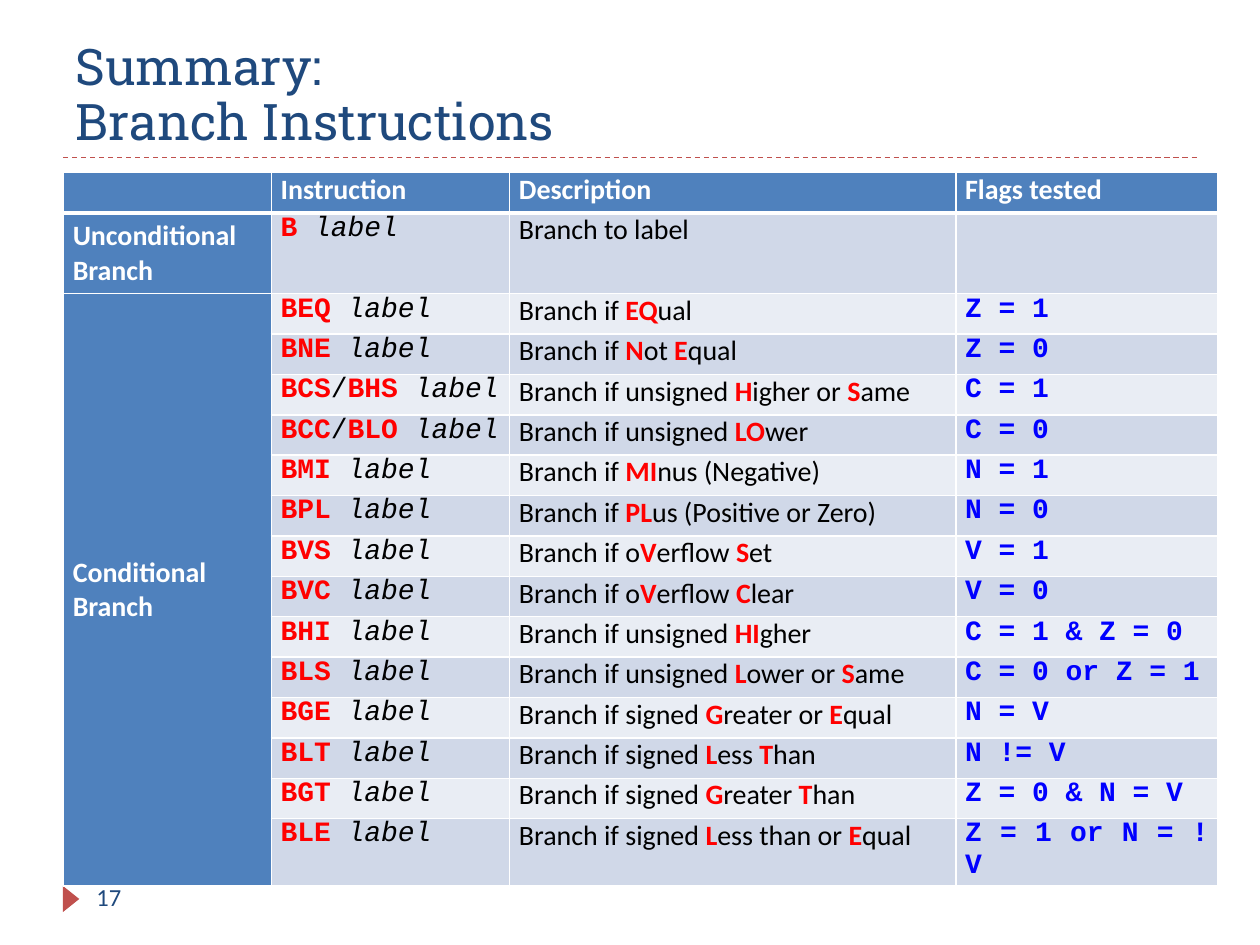
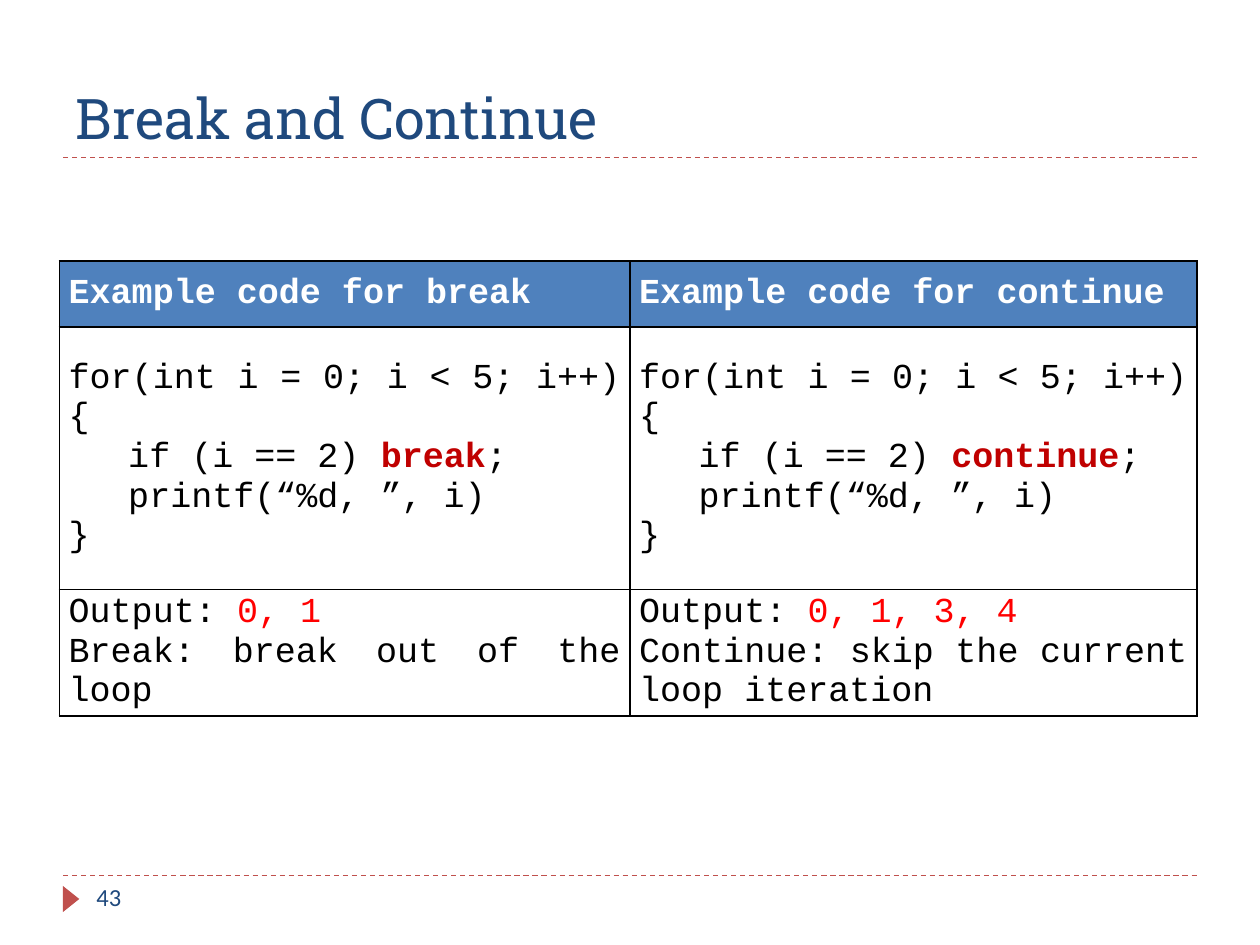
import dataclasses
import lxml.etree
import pptx
import pptx.dml.color
import pptx.enum.dml
import pptx.enum.shapes
import pptx.enum.text
import pptx.oxml.ns
import pptx.presentation
import pptx.shapes.autoshape
import pptx.slide
import pptx.table
import pptx.text.text
import pptx.util

Pt = pptx.util.Pt
qn = pptx.oxml.ns.qn
Anchor = pptx.enum.text.MSO_ANCHOR
Align = pptx.enum.text.PP_ALIGN


# Shared colours, fonts and type sizes
@dataclasses.dataclass(frozen=True)
class Theme:
    navy: str = "1F497D"
    accent: str = "C0504D"
    blue: str = "4F81BD"
    dark: str = "D0D8E8"
    light: str = "E9EDF4"
    white: str = "FFFFFF"
    black: str = "000000"
    red: str = "FF0000"
    key: str = "C00000"
    flag: str = "0000FF"
    head: str = "Roboto Slab"
    body: str = "Calibri"
    mono: str = "Courier New"
    title: float = 32
    small: float = 28.8
    page: float = 14
    cell: float = 16
    code: float = 20


THEME = Theme()


@dataclasses.dataclass(frozen=True)
class Look:
    face: str
    size: float
    color: str = THEME.black
    bold: bool = False
    slant: bool = False


@dataclasses.dataclass(frozen=True)
class Line:
    spans: list[tuple[str, Look]]
    indent: float = 0


@dataclasses.dataclass(frozen=True)
class Box:
    lines: list[Line]
    fill: str | None = None
    mid: bool = False


@dataclasses.dataclass(frozen=True)
class Grid:
    left: float
    top: float
    cols: list[float]
    rows: list[float]
    edge: str
    rule: float = 1  # width of the line under the header


# Text looks
PLAIN = Look(THEME.body, THEME.cell)
STRONG = Look(THEME.body, THEME.cell, THEME.red, True)
HEAD = Look(THEME.body, THEME.cell, THEME.white, True)
MONO = Look(THEME.mono, THEME.cell)
OP = Look(THEME.mono, THEME.cell, THEME.red, True)
ARG = Look(THEME.mono, THEME.cell, slant=True)
FLAG = Look(THEME.mono, THEME.cell, THEME.flag, True)
CODE = Look(THEME.mono, THEME.code)
TOP = Look(THEME.mono, THEME.code, THEME.white, True)
KEY = Look(THEME.mono, THEME.code, THEME.key, True)
OUT = Look(THEME.mono, THEME.code, THEME.red)
PAGE = Look(THEME.body, THEME.page, THEME.navy)

# Instruction, description (marked letters between bars), flags
BRANCHES = [
    ("BEQ", "Branch if |EQ|ual", "Z = 1"),
    ("BNE", "Branch if |N|ot |E|qual", "Z = 0"),
    ("BCS/BHS", "Branch if unsigned |H|igher or |S|ame", "C = 1"),
    ("BCC/BLO", "Branch if unsigned |LO|wer", "C = 0"),
    ("BMI", "Branch if |MI|nus (Negative)", "N = 1"),
    ("BPL", "Branch if |PL|us (Positive or Zero)", "N = 0"),
    ("BVS", "Branch if o|V|erflow |S|et", "V = 1"),
    ("BVC", "Branch if o|V|erflow |C|lear", "V = 0"),
    ("BHI", "Branch if unsigned |HI|gher", "C = 1 & Z = 0"),
    ("BLS", "Branch if unsigned |L|ower or |S|ame", "C = 0 or Z = 1"),
    ("BGE", "Branch if signed |G|reater or |E|qual", "N = V"),
    ("BLT", "Branch if signed |L|ess |T|han", "N != V"),
    ("BGT", "Branch if signed |G|reater |T|han", "Z = 0 & N = V"),
    ("BLE", "Branch if signed |L|ess than or |E|qual", "Z = 1 or N = !V"),
]

# Keyword, output, meaning
LOOPS = [
    ("break", "0, 1", "Break: break out of the loop"),
    ("continue", "0, 1, 3, 4", "Continue: skip the current loop iteration"),
]


def rgb(color: str) -> pptx.dml.color.RGBColor:
    return pptx.dml.color.RGBColor.from_string(color)


def style(font: pptx.text.text.Font, look: Look) -> None:
    font.name, font.size = look.face, Pt(look.size)
    font.bold, font.italic = look.bold, look.slant
    font.color.rgb = rgb(look.color)


def write(para: pptx.text.text._Paragraph, line: Line) -> None:
    """Fill a paragraph; its own font is set when all spans agree."""
    if line.indent:
        para._p.get_or_add_pPr().set("indent", str(Pt(line.indent)))
    looks = {look for _, look in line.spans}
    if len(looks) == 1:
        style(para.font, looks.pop())
    for text, look in line.spans:
        run = para.add_run()
        run.text = text
        style(run.font, look)


def split(text: str, plain: Look, strong: Look) -> list[tuple[str, Look]]:
    """Turn text with |marked| parts into spans."""
    return [(part, strong if i % 2 else plain)
            for i, part in enumerate(text.split("|")) if part]


def one(text: str, look: Look) -> list[Line]:
    return [Line([(text, look)])]


def border(cell: pptx.table._Cell, color: str, widths: list[float]) -> None:
    """Draw left, right, top and bottom edges, in that order."""
    props = cell._tc.get_or_add_tcPr()
    for i, (side, width) in enumerate(zip("LRTB", widths)):
        edge = lxml.etree.Element(qn(f"a:ln{side}"), w=str(Pt(width)))
        fill = lxml.etree.SubElement(edge, qn("a:solidFill"))
        lxml.etree.SubElement(fill, qn("a:srgbClr"), val=color)
        props.insert(i, edge)


def fill_cell(cell: pptx.table._Cell, box: Box) -> None:
    cell.margin_left = cell.margin_right = Pt(5.3)
    cell.margin_top = cell.margin_bottom = 0
    cell.vertical_anchor = Anchor.MIDDLE if box.mid else Anchor.TOP
    if box.fill:
        cell.fill.solid()
        cell.fill.fore_color.rgb = rgb(box.fill)
    else:
        cell.fill.background()
    frame = cell.text_frame
    for i, line in enumerate(box.lines):
        para = frame.add_paragraph() if i else frame.paragraphs[0]
        para.alignment = Align.JUSTIFY
        write(para, line)


def add_grid(slide: pptx.slide.Slide, grid: Grid,
             cells: list[list[Box]]) -> pptx.table.Table:
    table = slide.shapes.add_table(
        len(grid.rows), len(grid.cols), Pt(grid.left), Pt(grid.top),
        Pt(sum(grid.cols)), Pt(sum(grid.rows))).table
    for col, width in zip(table.columns, grid.cols):
        col.width = Pt(width)
    for row, height in zip(table.rows, grid.rows):
        row.height = Pt(height)
    for r, boxes in enumerate(cells):
        for c, box in enumerate(boxes):
            cell = table.cell(r, c)
            fill_cell(cell, box)
            border(cell, grid.edge, [1, 1, grid.rule if r == 1 else 1,
                                     grid.rule if r == 0 else 1])
    return table


def add_rule(slide: pptx.slide.Slide, y: float) -> None:
    rule = slide.shapes.add_connector(
        pptx.enum.shapes.MSO_CONNECTOR.STRAIGHT, Pt(36), Pt(y), Pt(684), Pt(y))
    rule.line.color.rgb = rgb(THEME.accent)
    rule.line.width = Pt(0.75)
    rule.line.dash_style = pptx.enum.dml.MSO_LINE.DASH
    lxml.etree.SubElement(rule._element.spPr, qn("a:effectLst"))


def add_title(slide: pptx.slide.Slide, lines: list[str], size: float) -> None:
    title = slide.shapes.title
    title.left, title.top, title.width, title.height = map(Pt, (36, 12, 648, 78))
    frame = title.text_frame
    frame.auto_size = pptx.enum.text.MSO_AUTO_SIZE.NONE
    frame.vertical_anchor = Anchor.BOTTOM
    para = frame.paragraphs[0]
    para.alignment = Align.LEFT
    if len(lines) > 1:
        para.line_spacing = 0.9
    look = Look(THEME.head, size, THEME.navy)
    for i, text in enumerate(lines):
        if i:
            para.add_line_break()
        write(para, Line([(text, look)]))


def add_page(deck: pptx.presentation.Presentation, lines: list[str],
             size: float, number: str) -> pptx.slide.Slide:
    """Add a slide with title, dashed rules, marker and page number."""
    slide = deck.slides.add_slide(deck.slide_layouts[5])
    for y in (500.4, 90):
        add_rule(slide, y)
    mark = slide.shapes.add_shape(
        pptx.enum.shapes.MSO_SHAPE.ISOSCELES_TRIANGLE,
        Pt(33.1), Pt(509), Pt(15), Pt(9.4))
    mark.rotation = 90
    mark.shadow.inherit = False
    mark.fill.solid()
    mark.fill.fore_color.rgb = rgb(THEME.accent)
    mark.line.fill.background()
    add_title(slide, lines, size)
    note = slide.shapes.add_textbox(Pt(48), Pt(500.4), Pt(156), Pt(28.8))
    note.text_frame.word_wrap = True
    write(note.text_frame.paragraphs[0], Line([(number, PAGE)]))
    return slide


def op_lines(names: str) -> list[Line]:
    marked = "/".join(f"|{name}|" for name in names.split("/"))
    return [Line(split(marked, MONO, OP) + [(" label", ARG)])]


def branch_slide(deck: pptx.presentation.Presentation) -> None:
    slide = add_page(deck, ["Summary: ", "Branch Instructions"],
                     THEME.small, "17")
    blank = Box([], THEME.blue)
    heads = ("Instruction", "Description", "Flags tested")
    cells = [[blank] + [Box(one(text, HEAD), THEME.blue) for text in heads]]
    cells.append([Box(one("Unconditional Branch", HEAD), THEME.blue, True),
                  Box(op_lines("B"), THEME.dark),
                  Box(one("Branch to label", PLAIN), THEME.dark),
                  Box([], THEME.dark)])
    group = Box(one("Conditional Branch", HEAD), THEME.blue, True)
    for i, (names, text, flags) in enumerate(BRANCHES):
        band = THEME.dark if i % 2 else THEME.light
        cells.append([blank if i else group,
                      Box(op_lines(names), band),
                      Box([Line(split(text, PLAIN, STRONG))], band),
                      Box(one(flags, FLAG), band)])
    unit = 23.1
    rows = [unit, 2 * unit] + [unit] * len(BRANCHES)
    grid = Grid(36.3, 98.6, [118.8, 136.2, 255, 149.8], rows, THEME.white, 3)
    table = add_grid(slide, grid, cells)
    table.cell(2, 0).merge(table.cell(len(rows) - 1, 0))


def loop_slide(deck: pptx.presentation.Presentation) -> None:
    slide = add_page(deck, ["Break and Continue"], THEME.title, "43")
    cells: list[list[Box]] = [[], [], []]
    for word, out, text in LOOPS:
        code = [Line([("for(int i = 0; i < 5; i++){", CODE)]),
                Line(split(f"  if (i == 2) |{word}|;", CODE, KEY), 10),
                Line([("  printf(“%d, ”, i)", CODE)], 10),
                Line([("}", CODE)])]
        result = [Line([("Output: ", CODE), (out, OUT)])] + one(text, CODE)
        cells[0].append(Box(one(f"Example code for {word}", TOP),
                            THEME.blue, True))
        cells[1].append(Box(code, mid=True))
        cells[2].append(Box(result, mid=True))
    grid = Grid(34, 149.2, [326, 324], [37.6, 150.2, 41], THEME.black)
    add_grid(slide, grid, cells)


def main() -> None:
    deck = pptx.Presentation()
    deck.slide_width, deck.slide_height = Pt(720), Pt(540)
    branch_slide(deck)
    loop_slide(deck)
    deck.save("out.pptx")


if __name__ == "__main__":
    main()
